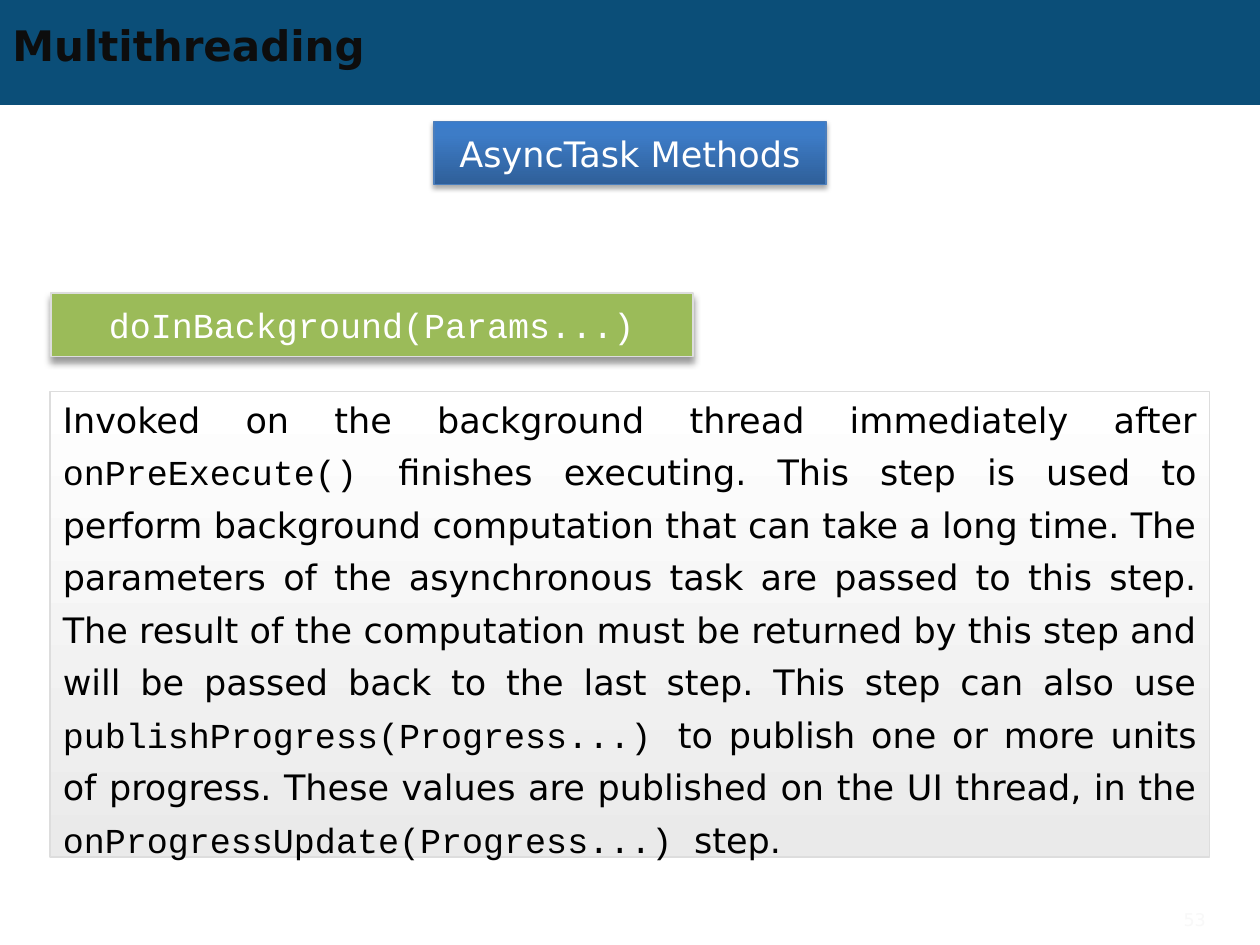
from lxml import etree
from pptx import Presentation
from pptx.dml import color
from pptx.enum import shapes, text
from pptx.oxml import ns
from pptx.util import Pt

SANS, MONO = "DejaVu Sans", "Courier New"


def rgb(value):
    return color.RGBColor.from_string(value)


def add_node(parent, tag, **attributes):
    values = {name: str(value) for name, value in attributes.items()}
    return etree.SubElement(parent, ns.qn(tag), values)


def set_gradient(shape, stops, angle):
    """Fill with (percent, colour) stops; the angle runs counter-clockwise."""
    shape.fill.gradient()
    shape.fill.gradient_angle = angle
    stop_list = shape._element.spPr.find(".//" + ns.qn("a:gsLst"))
    for stop in list(stop_list):
        stop_list.remove(stop)
    for percent, value in stops:
        stop = add_node(stop_list, "a:gs", pos=percent * 1000)
        add_node(stop, "a:srgbClr", val=value)


def set_shadow(shape, opacity, blur, distance):
    """Drop a black shadow straight down."""
    effects = shape._element.spPr.find(ns.qn("a:effectLst"))
    shadow = add_node(effects, "a:outerShdw", blurRad=Pt(blur), dist=Pt(distance),
                      dir=90 * 60000, algn="ctr", rotWithShape=0)
    black = add_node(shadow, "a:srgbClr", val="000000")
    add_node(black, "a:alpha", val=opacity * 1000)


def style_font(font, name, size, value, bold=False):
    font.name, font.size, font.bold = name, Pt(size), bold
    font.color.rgb = rgb(value)


def add_panel(page, box, line=None, width=1):
    panel = page.shapes.add_shape(shapes.MSO_SHAPE.RECTANGLE, *map(Pt, box))
    panel.shadow.inherit = False
    if line:
        panel.line.color.rgb = rgb(line)
        panel.line.width = Pt(width)
    else:
        panel.line.fill.background()
    panel.text_frame.word_wrap = True
    panel.text_frame.vertical_anchor = text.MSO_ANCHOR.MIDDLE
    return panel


def write_label(shape, words, font, size, value, align, bold=False):
    frame = shape.text_frame
    frame.word_wrap = True
    frame.vertical_anchor = text.MSO_ANCHOR.MIDDLE
    para = frame.paragraphs[0]
    para.text, para.alignment = words, align
    style_font(para.font, font, size, value, bold)


def add_header(page, box, title):
    left, top, width, height = box
    band = add_panel(page, box)
    band.fill.solid()
    band.fill.fore_color.rgb = rgb("0B4E78")
    title_box = page.shapes.add_textbox(Pt(left), Pt(top + 10), Pt(width - 72), Pt(31))
    write_label(title_box, title, SANS, 24, "0D0D0D", text.PP_ALIGN.LEFT, bold=True)


def add_topic(page, box, words):
    topic = add_panel(page, box, "4B7EBC", 0.75)
    set_gradient(topic, [(0, "2F5F99"), (80, "3D7CC7"), (100, "3A7CCB")], 90)
    set_shadow(topic, 35, 3.1, 1.8)
    write_label(topic, words, SANS, 20, "FFFFFF", text.PP_ALIGN.CENTER)


def add_method_name(page, box, words):
    name = add_panel(page, box, "DDDDDD")
    name.fill.solid()
    name.fill.fore_color.rgb = rgb("9BBB59")
    set_shadow(name, 40, 4, 3)
    frame = name.text_frame
    frame.margin_left = frame.margin_top = frame.margin_right = frame.margin_bottom = 0
    write_label(name, words, MONO, 20, "FFFFFF", text.PP_ALIGN.CENTER)


def add_description(page, box, parts):
    """Justified text in which every second part is code."""
    panel = add_panel(page, box, "DDDDDD")
    set_gradient(panel, [(0, "FFFFFF"), (100, "EAEAEA")], 270)
    para = panel.text_frame.paragraphs[0]
    para.alignment = text.PP_ALIGN.JUSTIFY
    para.line_spacing = Pt(30)
    for index, words in enumerate(parts):
        span = para.add_run()
        span.text = words
        style_font(span.font, MONO if index % 2 else SANS, 20, "000000")


def add_page_number(page, box, number):
    number_box = page.shapes.add_textbox(*map(Pt, box))
    write_label(number_box, number, SANS, 10, "F8F8F8", text.PP_ALIGN.RIGHT)


def main():
    deck = Presentation()
    deck.slide_width, deck.slide_height = Pt(720), Pt(540)
    page = deck.slides.add_slide(deck.slide_layouts[6])
    add_header(page, (0, 0, 720, 60), "Multithreading")
    add_topic(page, (248, 69.5, 224, 36), "AsyncTask Methods")
    add_method_name(page, (29, 167.3, 367, 36.5), "doInBackground(Params...)")
    add_description(page, (28.8, 223.7, 662.4, 266), [
        "Invoked on the background thread immediately after ",
        "onPreExecute() ",
        "finishes executing. This step is used to perform background computation "
        "that can take a long time. The parameters of the asynchronous task are "
        "passed to this step. The result of the computation must be returned by "
        "this step and will be passed back to the last step. This step can also use ",
        "publishProgress(Progress...) ",
        "to publish one or more units of progress. These values are published on "
        "the UI thread, in the ",
        "onProgressUpdate(Progress...) ",
        "step.",
    ])
    add_page_number(page, (636, 515, 60, 21), "53")
    deck.save("out.pptx")


if __name__ == "__main__":
    main()
